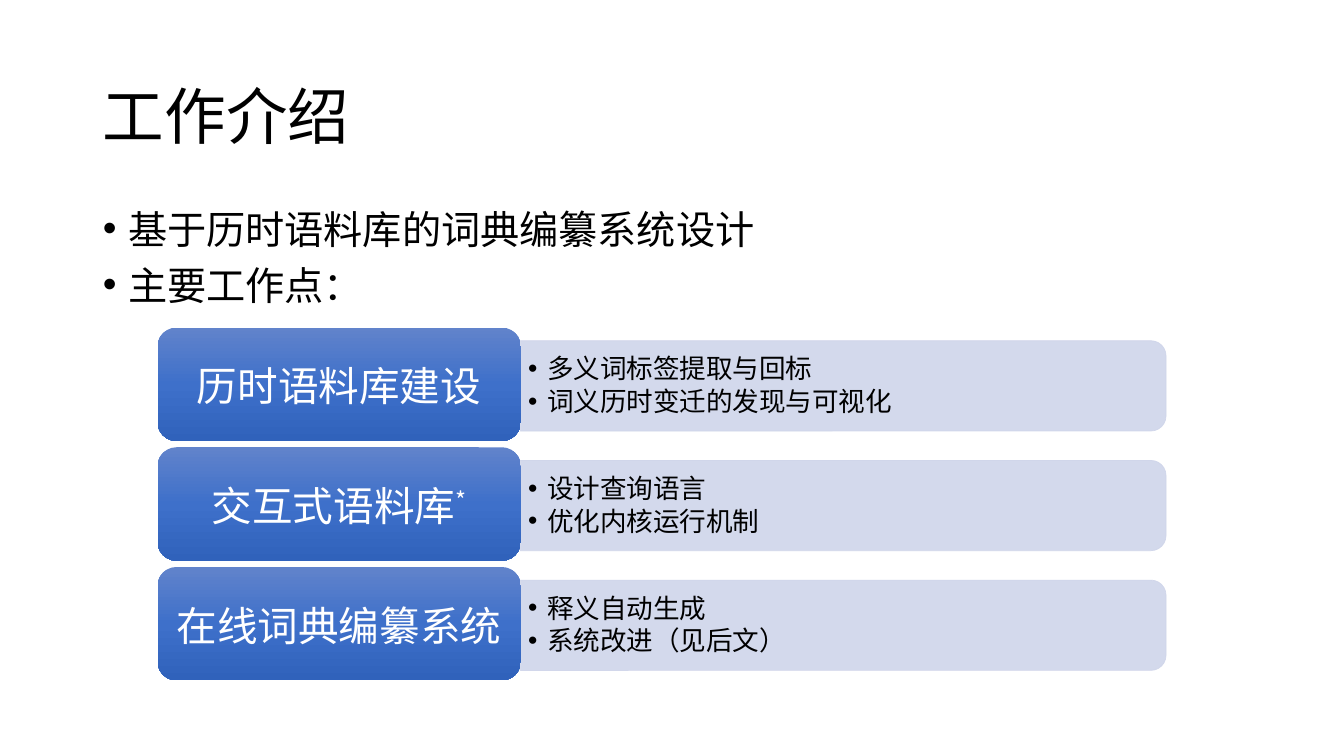
"""Build the work introduction slide with its three work areas."""
from lxml.etree import SubElement
from pptx import Presentation
from pptx.dml.color import RGBColor
from pptx.enum.shapes import MSO_SHAPE
from pptx.enum.text import MSO_ANCHOR, PP_ALIGN
from pptx.oxml import parse_xml
from pptx.oxml.ns import nsdecls, qn
from pptx.util import Pt

PX = 9525
FONT = "Noto Sans CJK SC"
ROW_PITCH = 114

TITLE = {"size": 44, "line": 55, "before": 0, "color": "000000", "indent": 0,
         "align": PP_ALIGN.LEFT, "anchor": MSO_ANCHOR.MIDDLE, "margins": (10, 5)}
BODY = {**TITLE, "size": 28, "line": 30, "before": 10, "indent": 24,
        "anchor": MSO_ANCHOR.TOP}
DETAIL = {**TITLE, "size": 19, "line": 20.3, "before": 3, "indent": 18,
          "margins": (8, 4)}
LABEL = {**TITLE, "size": 29, "line": 36.5, "color": "FFFFFF",
         "align": PP_ALIGN.CENTER, "margins": (8, 6)}

WORK_AREAS = [
    (["历时语料库建设"], ["多义词标签提取与回标", "词义历时变迁的发现与可视化"]),
    (["交互式语料库", "*"], ["设计查询语言", "优化内核运行机制"]),
    (["在线词典编纂系统"], ["释义自动生成", "系统改进（见后文）"]),
]
GRADIENT_STOPS = [(0, "6183CB"), (50, "3E70CA"), (100, "3062BB")]


def rgb(value):
    return RGBColor.from_string(value)


def write_text(shape, paragraphs, style):
    frame = shape.text_frame
    horizontal, vertical = (margin * PX for margin in style["margins"])
    frame_format = {"word_wrap": True, "vertical_anchor": style["anchor"],
                    "margin_left": horizontal, "margin_right": horizontal,
                    "margin_top": vertical, "margin_bottom": vertical}
    for name, value in frame_format.items():
        setattr(frame, name, value)
    for index, runs in enumerate(paragraphs):
        paragraph = frame.add_paragraph() if index else frame.paragraphs[0]
        paragraph_format = {"alignment": style["align"],
                            "line_spacing": Pt(style["line"]),
                            "space_before": Pt(style["before"])}
        for name, value in paragraph_format.items():
            setattr(paragraph, name, value)
        if style["indent"]:
            properties = paragraph._p.get_or_add_pPr()
            properties.set("marL", str(style["indent"] * PX))
            properties.set("indent", str(-style["indent"] * PX))
            SubElement(properties, qn("a:buFont"), typeface="Arial")
            SubElement(properties, qn("a:buChar"), char="•")
        for text in runs:
            run = paragraph.add_run()
            run.text = text
            run.font.size = Pt(style["size"])
            run.font.name = FONT
            run.font.color.rgb = rgb(style["color"])
            run_properties = run._r.get_or_add_rPr()
            SubElement(run_properties, qn("a:ea"), typeface=FONT)
            if text == "*":
                run_properties.set("baseline", "30000")


presentation = Presentation()
presentation.slide_width = 1280 * PX
presentation.slide_height = 720 * PX
slide = presentation.slides.add_slide(presentation.slide_layouts[6])
shapes = slide.shapes

title = shapes.add_textbox(88 * PX, 38 * PX, 1104 * PX, 139 * PX)
write_text(title, [["工作介绍"]], TITLE)
body = shapes.add_textbox(88 * PX, 195 * PX, 1104 * PX, 110 * PX)
write_text(body, [["基于历时语料库的词典编纂系统设计"], ["主要工作点："]], BODY)

stops = "".join(
    f'<a:gs pos="{position * 1000}"><a:srgbClr val="{color}"/></a:gs>'
    for position, color in GRADIENT_STOPS)
gradient = (f'<a:gradFill {nsdecls("a")} rotWithShape="1"><a:gsLst>{stops}</a:gsLst>'
            '<a:lin ang="5400000" scaled="0"/></a:gradFill>')

for row, (label_runs, details) in enumerate(WORK_AREAS):
    offset = row * ROW_PITCH

    bar = shapes.add_shape(MSO_SHAPE.ROUND_2_SAME_RECTANGLE,
                           760 * PX, (60 + offset) * PX, 86 * PX, 615 * PX)
    bar.rotation = 90
    bar.shadow.inherit = False
    bar.line.width = Pt(0.5)
    for fill in (bar.fill, bar.line.fill):
        fill.solid()
        fill.fore_color.rgb = rgb("CFD5EA")
    for color in bar._element.spPr.iter(qn("a:srgbClr")):
        SubElement(color, qn("a:alpha"), val="90000")

    detail_box = shapes.add_textbox(495 * PX, (329 + offset) * PX, 611 * PX, 78 * PX)
    write_text(detail_box, [[detail] for detail in details], DETAIL)

    label = shapes.add_shape(MSO_SHAPE.ROUNDED_RECTANGLE,
                             150 * PX, (312 + offset) * PX, 346 * PX, 108 * PX)
    label.shadow.inherit = False
    label.line.fill.background()
    label._element.spPr.find(qn("a:prstGeom")).addnext(parse_xml(gradient))
    write_text(label, [label_runs], LABEL)

presentation.save("out.pptx")
